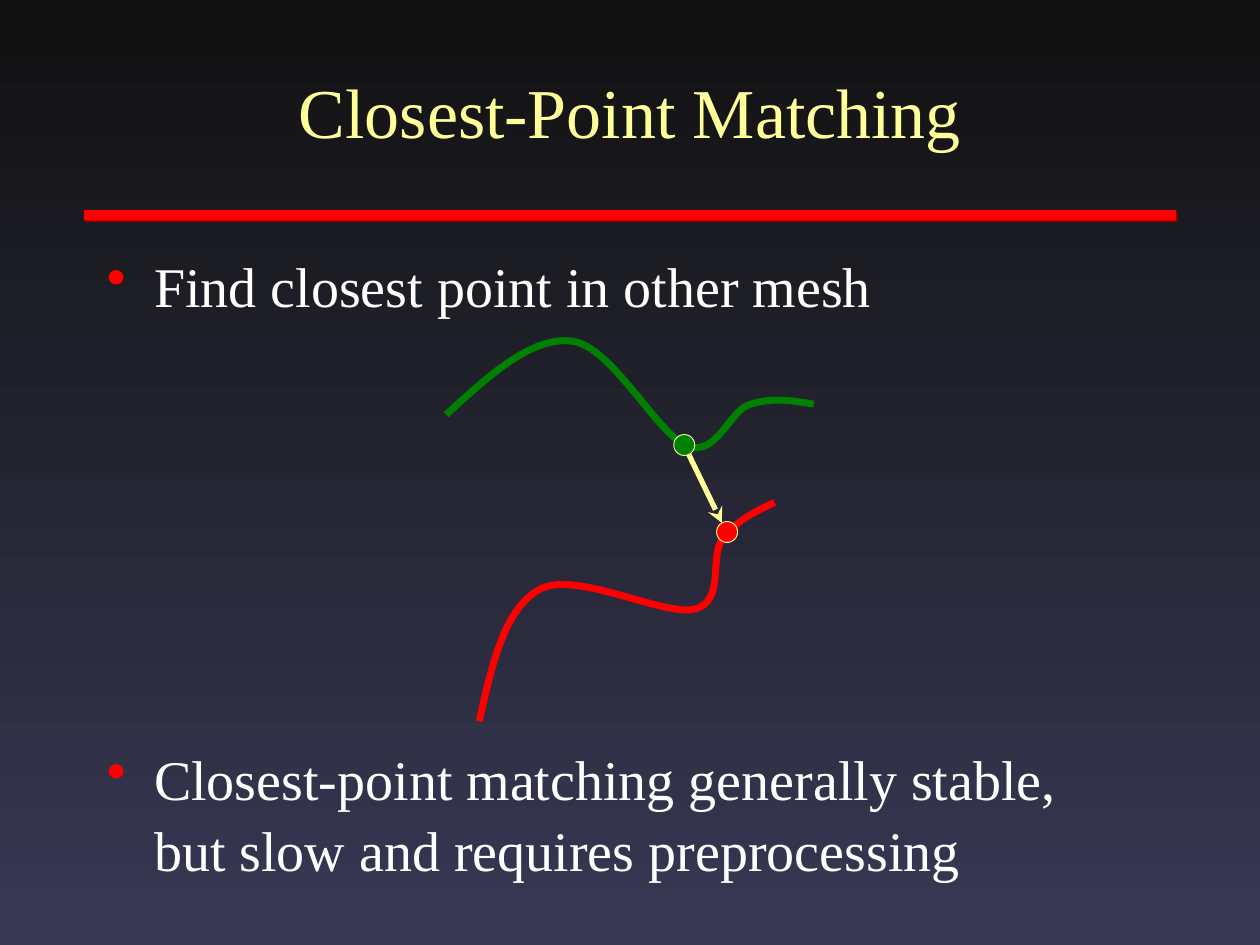
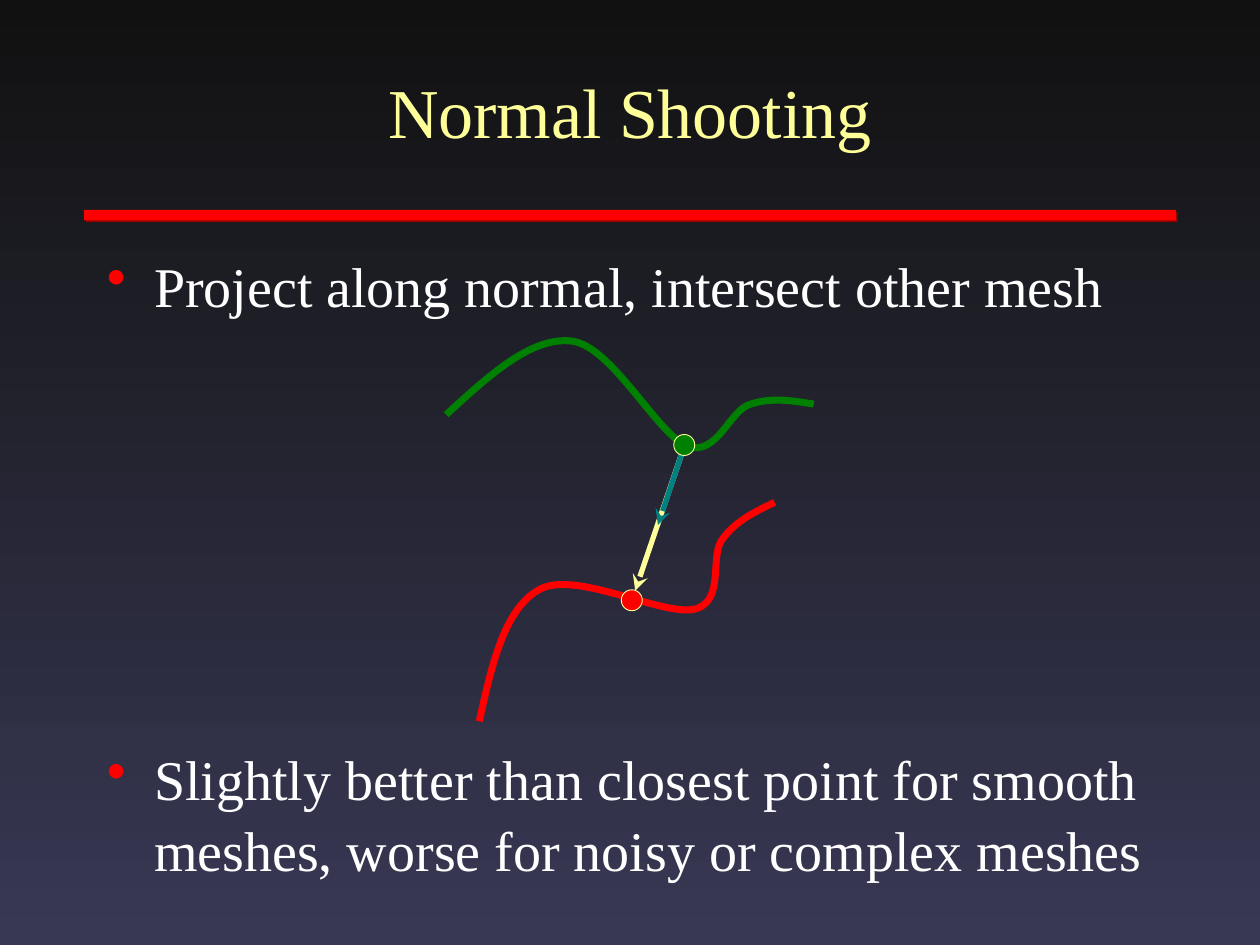
from dataclasses import dataclass

from lxml import etree
from pptx import Presentation
from pptx.dml.color import RGBColor
from pptx.enum.shapes import MSO_CONNECTOR, MSO_SHAPE
from pptx.enum.text import MSO_ANCHOR, PP_ALIGN
from pptx.oxml.ns import qn
from pptx.util import Pt

RECTANGLE = MSO_SHAPE.RECTANGLE
OVAL = MSO_SHAPE.OVAL
STRAIGHT = MSO_CONNECTOR.STRAIGHT
TOP, MIDDLE = MSO_ANCHOR.TOP, MSO_ANCHOR.MIDDLE
LEFT, CENTER = PP_ALIGN.LEFT, PP_ALIGN.CENTER

FONT = "Times New Roman"
NIGHT, DUSK = "111111", "383854"
RED, DARK_RED, GREEN, TEAL = "FF0000", "980000", "008000", "008080"
YELLOW, WHITE = "FFFF99", "FFFFFF"

TEXT_LEFT, TEXT_WIDTH = 54, 612
BULLET_INDENT = 27
DOT_SIZE = 12
MESH_START = (0, 45)
MESH_CURVES = [
    ((24.5, 22.5), (49, 0), (72, 3)),
    ((95, 6), (121, 57), (138, 63)),
    ((155, 69), (162, 42), (174, 39)),
    ((186, 35), (198, 37), (210, 39)),
]

Point = tuple[float, float]


@dataclass(frozen=True)
class Mesh:
    left: float
    top: float
    color: str
    rotation: float = 0


@dataclass(frozen=True)
class Arrow:
    start: Point
    tip: Point
    color: str


@dataclass(frozen=True)
class MatchingSlide:
    title: str
    method: str
    verdict: str
    match: Point
    arrows: list[Arrow]


MESHES = [Mesh(249, 309, RED, 325.1), Mesh(255, 192, GREEN)]
SOURCE_POINT = (391, 254.3)
SLIDES = [
    MatchingSlide(
        "Closest-Point Matching",
        "Find closest point in other mesh",
        "Closest-point matching generally stable,\nbut slow and requires preprocessing",
        (415.5, 304),
        [Arrow((393, 258.5), (412.5, 298.8), YELLOW)],
    ),
    MatchingSlide(
        "Normal Shooting",
        "Project along normal, intersect other mesh",
        "Slightly better than closest point for smooth meshes, "
        "worse for noisy or complex meshes",
        (361, 343),
        [
            Arrow((390, 258), (363, 337.5), YELLOW),
            Arrow((390, 258), (376, 300), TEAL),
        ],
    ),
]


def rgb(color: str) -> RGBColor:
    return RGBColor.from_string(color)


def add_child(parent, tag: str, **attributes):
    return etree.SubElement(parent, qn(tag), attributes)


def set_line(shape, color: str, width: float) -> None:
    shape.line.color.rgb = rgb(color)
    shape.line.width = Pt(width)


def add_text(slide, text: str, top: float, height: float, *, size: float,
             color: str, align=LEFT, anchor=TOP, spacing: float = 1.0,
             bullet: str = "") -> None:
    box = slide.shapes.add_textbox(Pt(TEXT_LEFT), Pt(top), Pt(TEXT_WIDTH), Pt(height))
    frame = box.text_frame
    frame.word_wrap = True
    frame.vertical_anchor = anchor
    paragraph = frame.paragraphs[0]
    paragraph.text = text
    paragraph.alignment = align
    paragraph.line_spacing = spacing
    if bullet:
        properties = paragraph._p.get_or_add_pPr()
        properties.set("marL", str(Pt(BULLET_INDENT)))
        properties.set("indent", str(-Pt(BULLET_INDENT)))
        add_child(add_child(properties, "a:buClr"), "a:srgbClr", val=RED)
        add_child(properties, "a:buChar", char=bullet)
    for run in paragraph.runs:
        run.font.name = FONT
        run.font.size = Pt(size)
        run.font.color.rgb = rgb(color)


def add_bullet(slide, text: str, top: float, height: float) -> None:
    add_text(slide, text, top, height, size=32, color=WHITE, spacing=1.05, bullet="•")


def add_band(slide) -> None:
    band = slide.shapes.add_shape(RECTANGLE, Pt(48), Pt(120), Pt(624), Pt(6))
    band.fill.solid()
    band.fill.fore_color.rgb = rgb(RED)
    band.line.fill.background()
    band.shadow.inherit = False
    effects = band._element.spPr.find(qn("a:effectLst"))
    shadow = add_child(effects, "a:outerShdw", dist=str(Pt(1.4)), dir="2700000")
    add_child(shadow, "a:srgbClr", val=DARK_RED)


def add_mesh(slide, mesh: Mesh) -> None:
    def place(point: Point) -> tuple[int, int]:
        return Pt(mesh.left + point[0]), Pt(mesh.top + point[1])

    builder = slide.shapes.build_freeform(*place(MESH_START))
    builder.add_line_segments(
        [place(point) for curve in MESH_CURVES for point in curve], close=False)
    shape = builder.convert_to_shape()
    outline = next(shape._element.iter(qn("a:path")))
    segments = outline.findall(qn("a:lnTo"))
    for first in range(0, len(segments), 3):
        curve = add_child(outline, "a:cubicBezTo")
        for segment in segments[first:first + 3]:
            curve.append(segment[0])
            outline.remove(segment)
    shape.rotation = mesh.rotation
    shape.fill.background()
    shape.shadow.inherit = False
    set_line(shape, mesh.color, 4)


def add_dot(slide, center: Point, color: str) -> None:
    x, y = (value - DOT_SIZE / 2 for value in center)
    dot = slide.shapes.add_shape(OVAL, Pt(x), Pt(y), Pt(DOT_SIZE), Pt(DOT_SIZE))
    dot.fill.solid()
    dot.fill.fore_color.rgb = rgb(color)
    dot.shadow.inherit = False
    set_line(dot, YELLOW, 0.5)


def add_arrow(slide, arrow: Arrow) -> None:
    ends = [Pt(value) for value in (*arrow.start, *arrow.tip)]
    connector = slide.shapes.add_connector(STRAIGHT, *ends)
    set_line(connector, arrow.color, 3)
    add_child(connector.line._get_or_add_ln(), "a:tailEnd", type="stealth")
    add_child(connector._element.spPr, "a:effectLst")


def set_background(master) -> None:
    fill = master.background.fill
    fill.gradient()
    fill.gradient_angle = 270
    for stop, color, position in zip(fill.gradient_stops, (NIGHT, DUSK), (0, 1)):
        stop.color.rgb = rgb(color)
        stop.position = position


def build_slide(presentation, content: MatchingSlide) -> None:
    slide = presentation.slides.add_slide(presentation.slide_layouts[6])
    add_band(slide)
    add_text(slide, content.title, 18, 90, size=40, color=YELLOW,
             align=CENTER, anchor=MIDDLE)
    add_bullet(slide, content.method, 138, 342)
    for mesh in MESHES:
        add_mesh(slide, mesh)
    add_dot(slide, content.match, RED)
    for arrow in content.arrows:
        add_arrow(slide, arrow)
    add_dot(slide, SOURCE_POINT, GREEN)
    add_bullet(slide, content.verdict, 420, 90)


def main() -> None:
    presentation = Presentation()
    presentation.slide_width, presentation.slide_height = Pt(720), Pt(540)
    set_background(presentation.slide_master)
    for content in SLIDES:
        build_slide(presentation, content)
    presentation.save("out.pptx")


if __name__ == "__main__":
    main()
